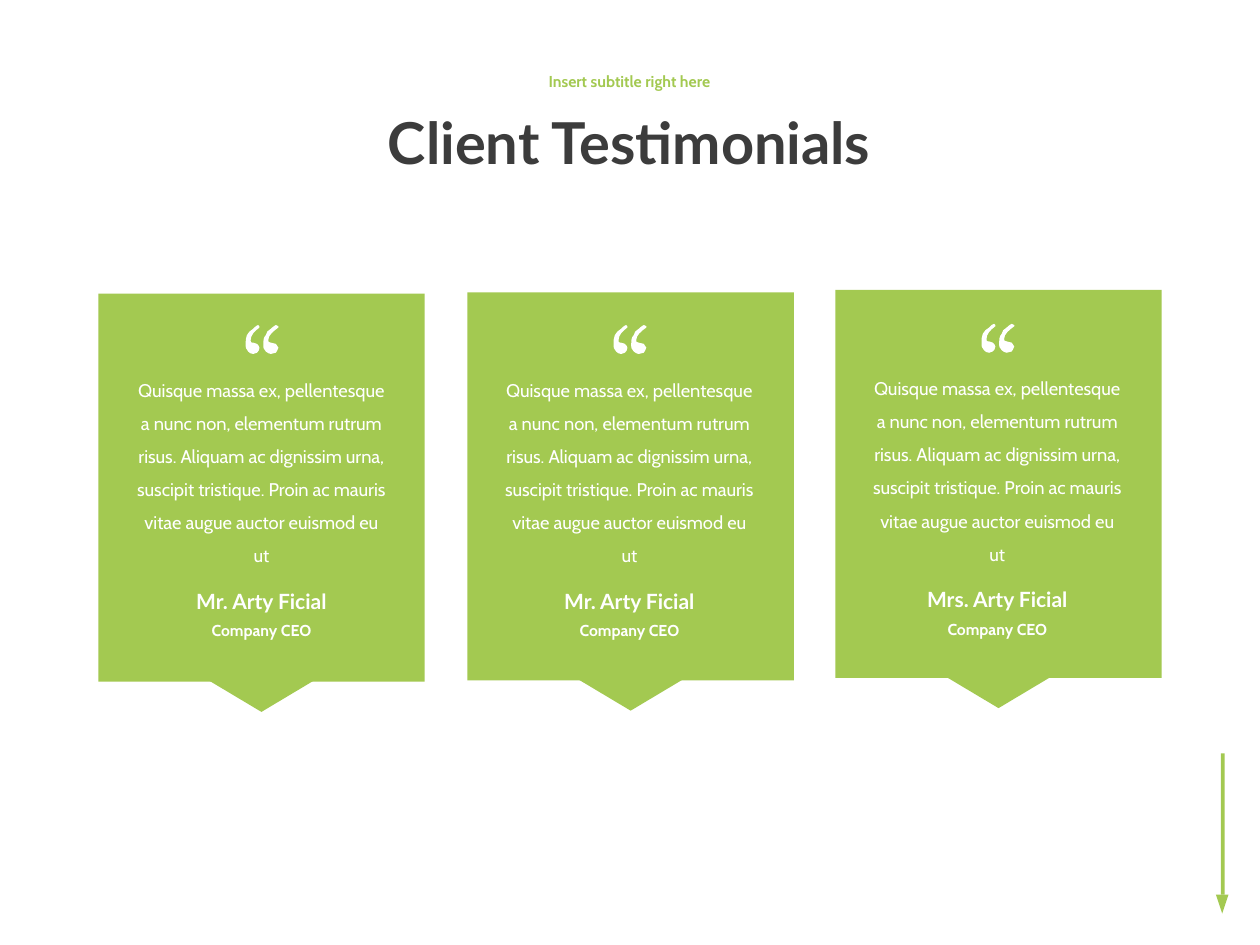
from lxml import etree
from pptx import Presentation
from pptx.dml.color import RGBColor
from pptx.enum.shapes import MSO_SHAPE
from pptx.enum.text import MSO_ANCHOR, PP_ALIGN
from pptx.oxml.ns import qn
from pptx.util import Inches, Pt

GREEN, WHITE, CHARCOAL = "A3C951", "FFFFFF", "3C3C3C"


def paint(shape, color):
    shape.shadow.inherit = False
    shape.fill.solid()
    shape.fill.fore_color.rgb = RGBColor.from_string(color)
    shape.line.fill.background()


def write(box, text, font, size, color, bold=True, spacing=1.0, anchor=MSO_ANCHOR.TOP):
    frame = box.text_frame
    frame.word_wrap = True
    frame.vertical_anchor = anchor
    line = frame.paragraphs[0]
    line.alignment = PP_ALIGN.CENTER
    line.line_spacing = spacing
    run = line.add_run()
    run.text = text
    run.font.name = font
    run.font.size = Pt(size)
    run.font.bold = bold
    run.font.color.rgb = RGBColor.from_string(color)


prs = Presentation()
prs.slide_width, prs.slide_height = Inches(10), Inches(7.5)
slide = prs.slides.add_slide(prs.slide_layouts[5])
shapes = slide.shapes

arrow = shapes.add_group_shape().shapes
arrow_stem = arrow.add_shape(MSO_SHAPE.RECTANGLE, Inches(9.69), Inches(5.98), Inches(0.03), Inches(1.12))
arrow_tip = arrow.add_shape(MSO_SHAPE.ISOSCELES_TRIANGLE, Inches(9.65), Inches(7.1), Inches(0.1), Inches(0.15))
arrow_tip.rotation = 180
paint(arrow_stem, GREEN)
paint(arrow_tip, GREEN)

title = shapes.title
title.left, title.top, title.width, title.height = Inches(2.18), Inches(0.64), Inches(5.63), Inches(1.03)
write(title, "Client Testimonials", "Lato", 33, CHARCOAL, spacing=0.9, anchor=MSO_ANCHOR.MIDDLE)
subtitle = shapes.add_textbox(Inches(2.18), Inches(0.46), Inches(5.63), Inches(0.38))
write(subtitle, "Insert subtitle right here", "Cabin", 9, GREEN, spacing=0.9, anchor=MSO_ANCHOR.MIDDLE)

for card_left, card_top in [(0.78, 2.33), (3.71, 2.32), (6.63, 2.3)]:
    bubble = shapes.add_group_shape().shapes
    card = bubble.add_shape(MSO_SHAPE.RECTANGLE, Inches(card_left), Inches(card_top), Inches(2.59), Inches(3.08))
    pointer = bubble.add_shape(
        MSO_SHAPE.ISOSCELES_TRIANGLE, Inches(card_left + 0.86), Inches(card_top + 3.06), Inches(0.87), Inches(0.26))
    pointer.rotation = 180
    paint(card, GREEN)
    paint(pointer, GREEN)

testimonial = (
    "Quisque massa ex, pellentesque a nunc non, elementum rutrum risus. "
    "Aliquam ac dignissim urna, suscipit tristique. Proin ac mauris vitae augue auctor euismod eu ut"
)
quote_points = [
    (11, 2), (7, 5), (4, 8), (4, 12), (4, 13), (4, 14), (5, 14), (5, 14), (5, 14), (5, 14),
    (6, 14), (6, 14), (6, 14), (7, 14), (8, 14), (9, 15), (10, 16), (11, 17), (11, 18),
    (11, 20), (10, 21), (9, 22), (8, 22), (7, 23), (6, 23), (4, 23), (3, 22), (2, 21),
    (0, 19), (0, 18), (0, 15), (0, 13), (0, 10), (1, 8), (2, 6), (4, 4), (6, 3),
    (8, 1), (9, 0), (10, 0), (10, 0), (10, 0), (11, 1), (11, 1), (11, 2), (11, 2),
]
clients = [
    ("Mr. Arty Ficial", 0.98, 2.87),
    ("Mr. Arty Ficial", 3.9, 2.87),
    ("Mrs. Arty Ficial", 6.82, 2.86),
]
for client, text_left, text_top in clients:
    name = shapes.add_textbox(Inches(text_left), Inches(text_top + 1.75), Inches(2.19), Inches(0.3))
    write(name, client, "Lato", 12, WHITE)
    role = shapes.add_textbox(Inches(text_left + 0.35), Inches(text_top + 2.01), Inches(1.49), Inches(0.25))
    write(role, "Company CEO", "Cabin", 9, WHITE)
    words = shapes.add_textbox(Inches(text_left), Inches(text_top), Inches(2.19), Inches(1.66))
    write(words, testimonial, "Cabin", 10.5, WHITE, bold=False, spacing=1.5)

    first, second = [[(x + shift, y) for x, y in quote_points] for shift in (0, 14.5)]
    builder = shapes.build_freeform(*first[0], scale=Inches(0.01))
    builder.add_line_segments(first[1:])
    builder.move_to(*second[0])
    builder.add_line_segments(second[1:])
    quote = builder.convert_to_shape(Inches(text_left + 0.97), Inches(text_top - 0.29))
    paint(quote, WHITE)

    segments = list(quote.element.iter(qn("a:lnTo")))
    for index in range(0, len(segments), 3):
        curve = etree.Element(qn("a:cubicBezTo"))
        segments[index].addprevious(curve)
        for segment in segments[index:index + 3]:
            curve.append(segment[0])
            segment.getparent().remove(segment)

prs.save("out.pptx")
